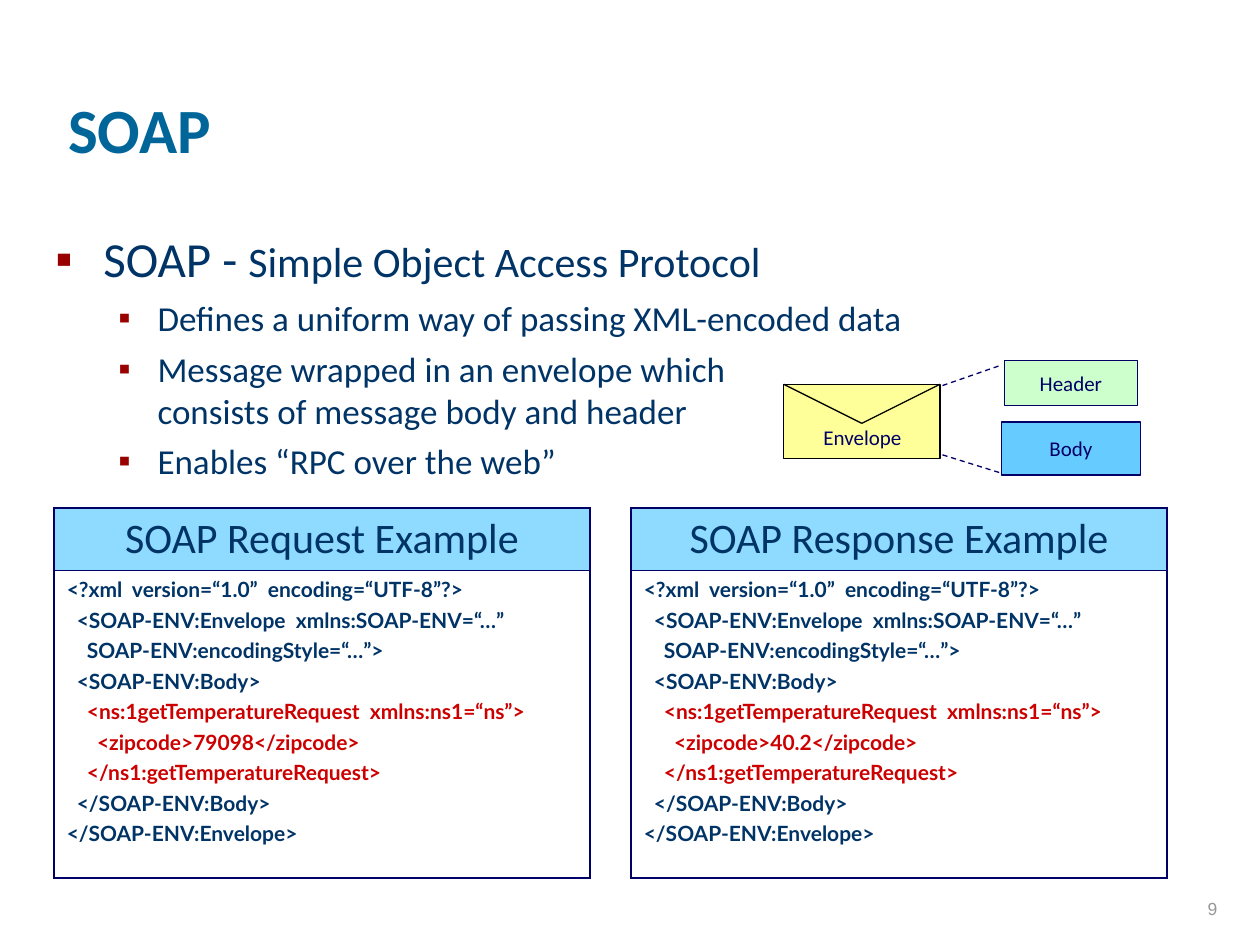
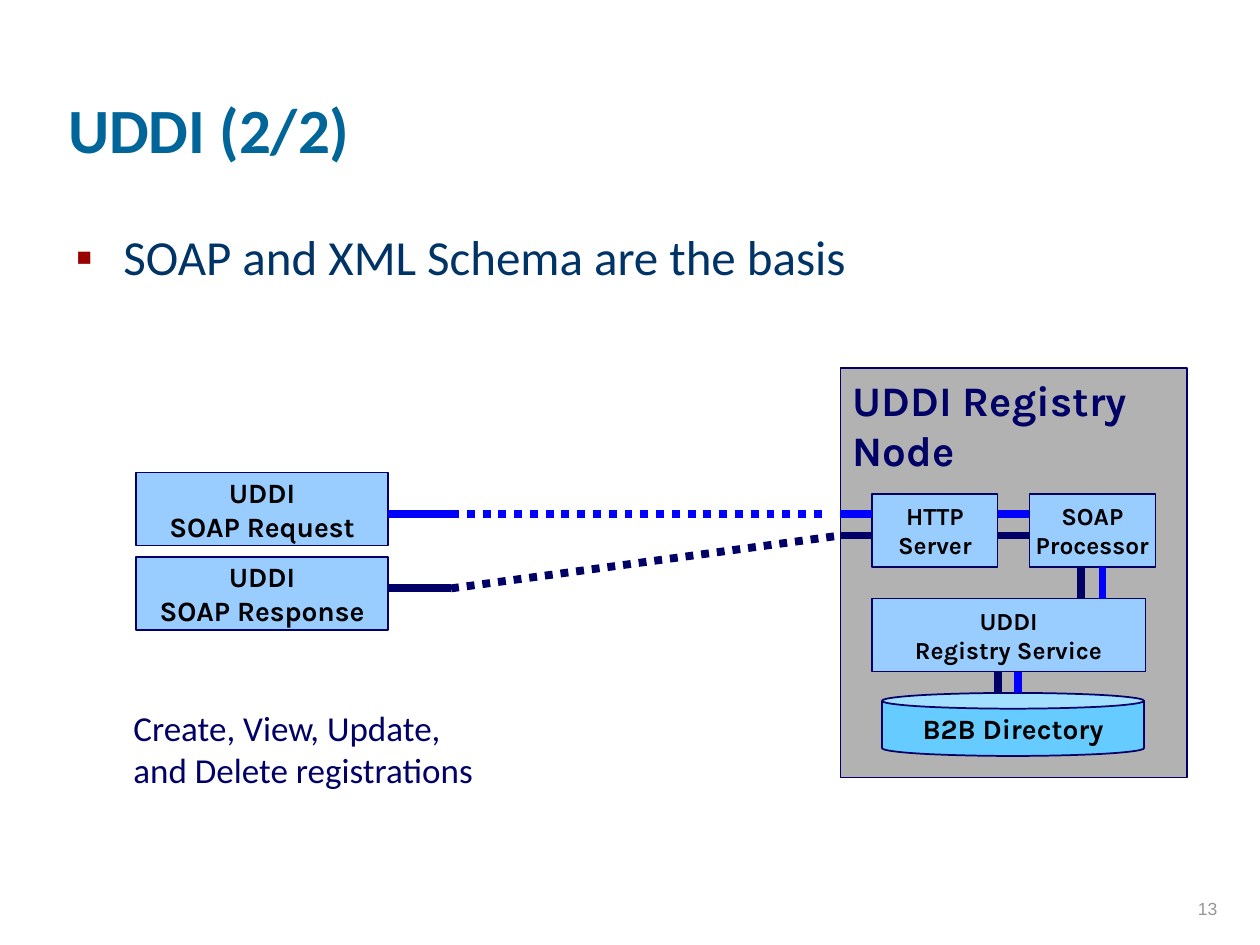
from dataclasses import dataclass
from typing import Any, Optional

import lxml.etree
import pptx
import pptx.dml.color
import pptx.enum.dml
import pptx.enum.shapes
import pptx.enum.text
import pptx.oxml.ns
import pptx.presentation
import pptx.shapes.autoshape
import pptx.slide
import pptx.table
import pptx.text.text
import pptx.util

Inches = pptx.util.Inches
Pt = pptx.util.Pt
qn = pptx.oxml.ns.qn
Align = pptx.enum.text.PP_ALIGN
Anchor = pptx.enum.text.MSO_ANCHOR
Dash = pptx.enum.dml.MSO_LINE
Preset = pptx.enum.shapes.MSO_SHAPE
SubElement = lxml.etree.SubElement


@dataclass(frozen=True)
class Theme:
    title: str = "006699"
    text: str = "003366"
    navy: str = "000066"
    black: str = "000000"
    blue: str = "0000FF"
    bullet: str = "990000"
    highlight: str = "CC0000"
    table_header: str = "8FDAFF"
    component: str = "99CCFF"
    sky: str = "66CCFF"
    envelope: str = "FFFF99"
    mint: str = "CCFFCC"
    page_number: str = "969696"
    body_font: str = "Calibri"
    code_font: str = "Lato"
    diagram_font: str = "Karla"
    number_font: str = "Arial"
    title_size: float = 36
    level_sizes: tuple[float, float] = (28, 20)
    heading_size: float = 24
    label_size: float = 16
    small_label_size: float = 14
    code_size: float = 12
    number_size: float = 10
    thin: float = 0.75
    wire: float = 4.5


THEME = Theme()


@dataclass(frozen=True)
class Box:
    """A labelled shape; lengths are inches."""
    label: str
    left: float
    top: float
    width: float
    height: float
    fill: str = THEME.component
    size: float = THEME.label_size
    font: str = THEME.diagram_font
    color: str = THEME.black
    bold: bool = True
    preset: Any = Preset.RECTANGLE
    line: str = THEME.navy
    line_width: float = THEME.thin


@dataclass(frozen=True)
class Bullet:
    runs: tuple[tuple[str, float], ...]
    level: int = 0
    space_before: float = 5
    line_spacing: float = 1.0


@dataclass(frozen=True)
class Lane:
    """The way one message takes through the registry node."""
    color: str
    client_y: float
    network_end_x: float
    node_y: float
    processor_x: float
    service_x: float


CODE_STEP = 0.08
BULLET_INDENTS = ((0.38, -0.38), (0.81, -0.31))
ENVELOPE = Box("", 6.22, 3.05, 1.24, 0.59, THEME.envelope, line=THEME.black)
MESSAGE_PARTS = (
    Box("Header", 7.97, 2.86, 1.06, 0.36, THEME.mint, THEME.code_size,
        THEME.body_font, THEME.navy, False),
    Box("Body", 7.95, 3.35, 1.1, 0.42, THEME.sky, THEME.code_size,
        THEME.body_font, THEME.navy, False),
)
CLIENT_BOXES = (
    Box("UDDI\nSOAP Request", 1.08, 3.75, 2, 0.58),
    Box("UDDI\nSOAP Response", 1.08, 4.42, 2, 0.58),
)
REGISTRY_NODE = Box("", 6.67, 2.92, 2.75, 3.25, THEME.black)
REGISTRY_BOXES = (
    Box("HTTP\nServer", 6.92, 3.92, 1, 0.58, size=THEME.small_label_size),
    Box("SOAP\nProcessor", 8.17, 3.92, 1, 0.58, size=THEME.small_label_size),
    Box("UDDI\nRegistry Service", 6.92, 4.75, 2.17, 0.58, size=THEME.small_label_size),
    Box("B2B Directory", 7, 5.5, 2.08, 0.5, THEME.sky, preset=Preset.CAN, line_width=1),
)
LANES = (
    Lane(THEME.blue, 4.08, 6.58, 4.08, 8.75, 8.08),
    Lane(THEME.navy, 4.67, 6.67, 4.25, 8.58, 7.92),
)


def rgb(color: str) -> pptx.dml.color.RGBColor:
    return pptx.dml.color.RGBColor.from_string(color)


def write(paragraph: Any, text: str, *, size: float, color: str = THEME.text,
          font: str = THEME.body_font, bold: bool = False, align: Any = Align.LEFT,
          space_before: float = 0) -> None:
    """Append text to a paragraph, turning newlines into line breaks."""
    paragraph.alignment = align
    paragraph.space_before = Pt(space_before)
    for index, line in enumerate(text.split("\n")):
        if index:
            paragraph.add_line_break()
        run = paragraph.add_run()
        run.text = line
        run.font.size = Pt(size)
        run.font.name = font
        run.font.bold = bold
        run.font.color.rgb = rgb(color)


def place(shape: Any, left: float, top: float, width: float, height: float) -> None:
    shape.left, shape.top = Inches(left), Inches(top)
    shape.width, shape.height = Inches(width), Inches(height)


def add_label(slide: pptx.slide.Slide, text: str, left: float, top: float, width: float,
              height: float, *, anchor: Any = Anchor.TOP, **text_format: Any) -> None:
    frame = slide.shapes.add_textbox(
        Inches(left), Inches(top), Inches(width), Inches(height)).text_frame
    frame.word_wrap = True
    frame.vertical_anchor = anchor
    write(frame.paragraphs[0], text, **text_format)


def add_box(shapes: Any, box: Box) -> pptx.shapes.autoshape.Shape:
    shape = shapes.add_shape(box.preset, Inches(box.left), Inches(box.top),
                             Inches(box.width), Inches(box.height))
    shape.shadow.inherit = False
    shape.fill.solid()
    shape.fill.fore_color.rgb = rgb(box.fill)
    shape.line.color.rgb = rgb(box.line)
    shape.line.width = Pt(box.line_width)
    if box.label:
        shape.text_frame.word_wrap = False
        shape.text_frame.vertical_anchor = Anchor.MIDDLE
        write(shape.text_frame.paragraphs[0], box.label, size=box.size, font=box.font,
              color=box.color, bold=box.bold, align=Align.CENTER)
    return shape


def add_line(shapes: Any, start: tuple[float, float], end: tuple[float, float], color: str,
             width: float = THEME.thin, dash: Optional[Any] = None) -> None:
    connector = shapes.add_connector(
        pptx.enum.shapes.MSO_CONNECTOR.STRAIGHT,
        *(Inches(value) for value in (*start, *end)))
    connector.line.color.rgb = rgb(color)
    connector.line.width = Pt(width)
    if dash is not None:
        connector.line.dash_style = dash
    SubElement(connector._element.spPr, qn("a:effectLst"))


def add_bullet(paragraph: Any, bullet: Bullet) -> None:
    paragraph.level = bullet.level
    paragraph.line_spacing = bullet.line_spacing
    for text, size in bullet.runs:
        write(paragraph, text, size=size, space_before=bullet.space_before)
    properties = paragraph._p.get_or_add_pPr()
    margin, indent = BULLET_INDENTS[bullet.level]
    properties.set("marL", str(Inches(margin)))
    properties.set("indent", str(Inches(indent)))
    color = SubElement(properties, qn("a:buClr"))
    SubElement(color, qn("a:srgbClr"), val=THEME.bullet)
    SubElement(properties, qn("a:buFont"), typeface=THEME.number_font)
    SubElement(properties, qn("a:buChar"), char="▪")


def start_slide(presentation: pptx.presentation.Presentation, title: str, number: str,
                body_area: tuple[float, float, float, float],
                bullets: tuple[Bullet, ...]) -> pptx.slide.Slide:
    """Add a slide with its title, bulleted list and page number."""
    slide = presentation.slides.add_slide(presentation.slide_layouts[1])
    heading, body = slide.placeholders
    place(heading, 0.44, 0.12, 8.5, 1.25)
    place(body, *body_area)
    for placeholder, anchor in ((heading, Anchor.BOTTOM), (body, Anchor.TOP)):
        placeholder.text_frame.vertical_anchor = anchor
        placeholder.text_frame.auto_size = pptx.enum.text.MSO_AUTO_SIZE.NONE
    write(heading.text_frame.paragraphs[0], title, size=THEME.title_size,
          color=THEME.title, bold=True)
    for index, bullet in enumerate(bullets):
        frame = body.text_frame
        add_bullet(frame.add_paragraph() if index else frame.paragraphs[0], bullet)
    add_label(slide, number, 7.68, 6.84, 2.08, 0.5, anchor=Anchor.BOTTOM,
              size=THEME.number_size, font=THEME.number_font,
              color=THEME.page_number, align=Align.RIGHT)
    return slide


def set_borders(cell: Any, **widths: float) -> None:
    """Draw cell borders; keywords are the sides L, R, T and B."""
    properties = cell._tc.get_or_add_tcPr()
    for index, (side, width) in enumerate(widths.items()):
        line = lxml.etree.Element(qn(f"a:ln{side}"), w=str(Pt(width)))
        color = SubElement(SubElement(line, qn("a:solidFill")), qn("a:srgbClr"))
        color.set("val", THEME.navy)
        properties.insert(index, line)


def add_code_table(slide: pptx.slide.Slide, heading: str, zipcode: str, left: float) -> None:
    code = (
        (0, "<?xml  version=“1.0”  encoding=“UTF-8”?>"),
        (1, "<SOAP-ENV:Envelope  xmlns:SOAP-ENV=“…”"),
        (2, "SOAP-ENV:encodingStyle=“…”>"),
        (1, "<SOAP-ENV:Body>"),
        (2, "<ns:1getTemperatureRequest  xmlns:ns1=“ns”>"),
        (3, f"<zipcode>{zipcode}</zipcode>"),
        (2, "</ns1:getTemperatureRequest>"),
        (1, "</SOAP-ENV:Body>"),
        (0, "</SOAP-ENV:Envelope>"),
    )
    table = slide.shapes.add_table(
        2, 1, Inches(left), Inches(4.03), Inches(4.25), Inches(2.94)).table
    table.first_row = table.horz_banding = False
    table.rows[0].height, table.rows[1].height = Inches(0.5), Inches(2.44)
    header, listing = table.cell(0, 0), table.cell(1, 0)
    header.fill.solid()
    header.fill.fore_color.rgb = rgb(THEME.table_header)
    listing.fill.background()
    set_borders(header, L=1.08, R=1.08, T=1.08, B=0.45)
    set_borders(listing, L=1.08, R=1.08, T=0.45, B=1.08)
    write(header.text_frame.paragraphs[0], heading, size=THEME.heading_size,
          align=Align.CENTER, space_before=6)
    for index, (depth, text) in enumerate(code):
        frame = listing.text_frame
        paragraph = frame.add_paragraph() if index else frame.paragraphs[0]
        write(paragraph, text, size=THEME.code_size, font=THEME.code_font, bold=True,
              color=THEME.highlight if 4 <= index <= 6 else THEME.text, space_before=3)
        paragraph._p.get_or_add_pPr().set("marL", str(Inches(CODE_STEP * depth)))


def build_soap_slide(presentation: pptx.presentation.Presentation) -> None:
    top_size, sub_size = THEME.level_sizes
    points = ("Defines a uniform way of passing XML-encoded data",
              "Message wrapped in an envelope which \nconsists of message body and header",
              "Enables “RPC over the web”")
    bullets = (
        Bullet((("SOAP - ", top_size),
                ("Simple Object Access Protocol", THEME.heading_size)), 0, 6, 1.25),
        *(Bullet(((point, sub_size),), 1) for point in points),
    )
    slide = start_slide(presentation, "SOAP", "9", (0.34, 1.65, 9.31, 2.32), bullets)
    add_code_table(slide, "SOAP Request Example", "79098", 0.43)
    add_code_table(slide, "SOAP Response Example", "40.2", 5.01)

    envelope = slide.shapes.add_group_shape().shapes
    add_box(envelope, ENVELOPE)
    flap_tip = (ENVELOPE.left + ENVELOPE.width / 2, 3.36)
    for corner_x in (ENVELOPE.left, ENVELOPE.left + ENVELOPE.width):
        add_line(envelope, (corner_x, ENVELOPE.top), flap_tip, THEME.black)
    for part in MESSAGE_PARTS:
        add_box(slide.shapes, part)
    for start, end in (((7.48, 3.06), (7.94, 2.9)), ((7.48, 3.61), (7.93, 3.75))):
        add_line(slide.shapes, start, end, THEME.navy, dash=Dash.DASH)
    add_label(slide, "Envelope", 6.39, 3.32, 0.91, 0.3, size=THEME.code_size,
              color=THEME.navy, align=Align.CENTER)


def add_lane(slide: pptx.slide.Slide, lane: Lane) -> None:
    client, network = (3.08, lane.client_y), (3.58, lane.client_y)
    add_line(slide.shapes, client, network, lane.color, THEME.wire)
    add_line(slide.shapes, network, (lane.network_end_x, lane.node_y), lane.color,
             THEME.wire, Dash.ROUND_DOT)
    for left, right in ((6.67, 6.92), (7.92, 8.17)):
        add_line(slide.shapes, (left, lane.node_y), (right, lane.node_y),
                 lane.color, THEME.wire)
    for x, bottom, top in ((lane.processor_x, 4.75, 4.5), (lane.service_x, 5.5, 5.33)):
        add_line(slide.shapes, (x, bottom), (x, top), lane.color, THEME.wire)


def build_uddi_slide(presentation: pptx.presentation.Presentation) -> None:
    basis = Bullet((("SOAP and XML Schema are the basis", THEME.level_sizes[0]),), 0, 7)
    slide = start_slide(presentation, "UDDI (2/2)", "13", (0.5, 1.75, 8.94, 4.93), (basis,))
    node = add_box(slide.shapes, REGISTRY_NODE)
    fill_color = node._element.spPr.find(qn("a:solidFill")).find(qn("a:srgbClr"))
    SubElement(fill_color, qn("a:alpha"), val="30000")
    node.text_frame.vertical_anchor = Anchor.TOP
    write(node.text_frame.paragraphs[0], "UDDI Registry\nNode", size=THEME.heading_size,
          font=THEME.diagram_font, color=THEME.navy, bold=True)
    for box in (*CLIENT_BOXES, *REGISTRY_BOXES):
        add_box(slide.shapes, box)
    for lane in LANES:
        add_lane(slide, lane)
    add_label(slide, "Create, View, Update,\nand Delete registrations", 0.96, 5.56, 2.98, 1.44,
              size=THEME.level_sizes[1], color=THEME.navy)


def main() -> None:
    presentation = pptx.Presentation()
    presentation.slide_width, presentation.slide_height = Inches(10), Inches(7.5)
    build_soap_slide(presentation)
    build_uddi_slide(presentation)
    presentation.save("out.pptx")


if __name__ == "__main__":
    main()
